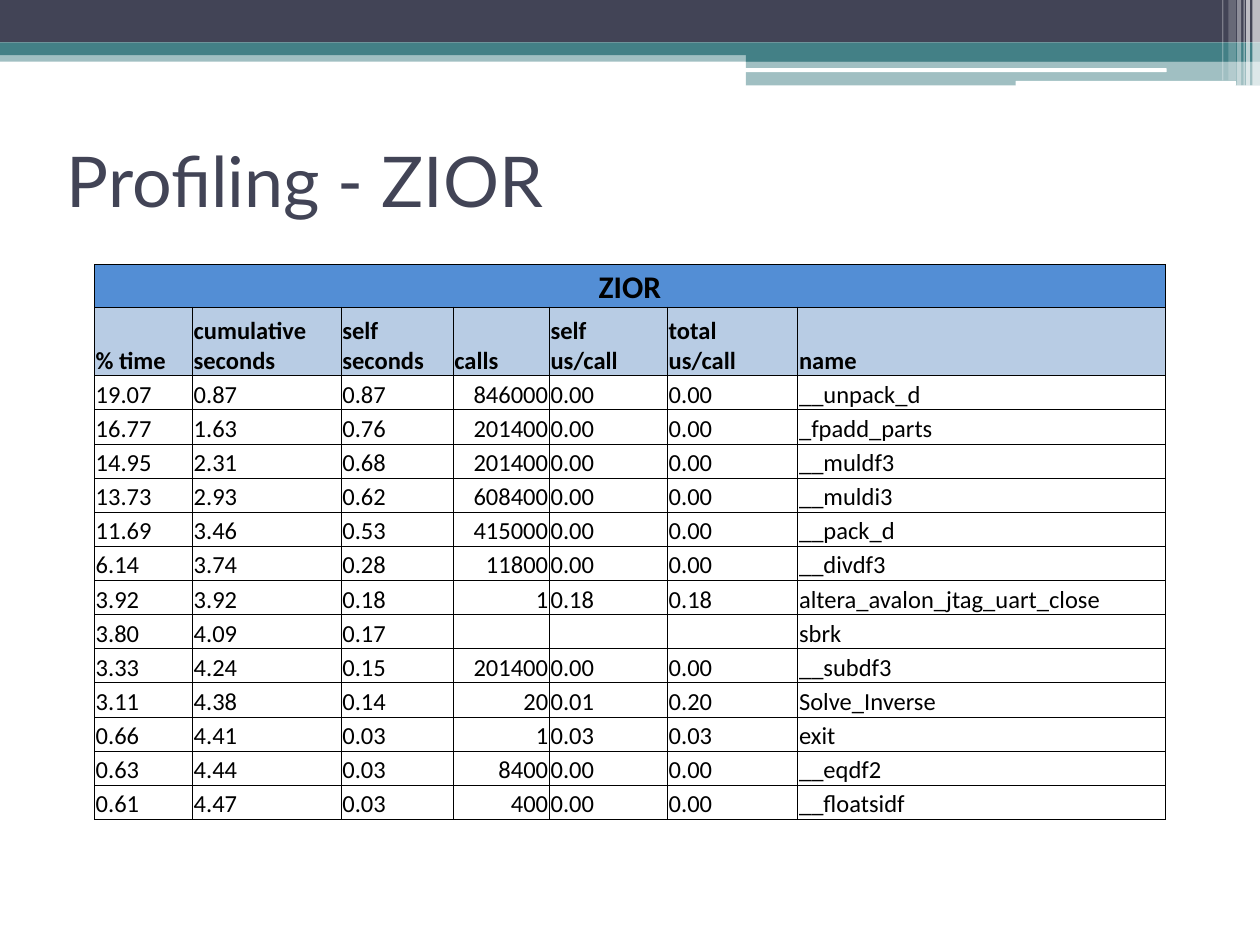
from lxml.etree import SubElement
from pptx import Presentation
from pptx.dml.color import RGBColor
from pptx.enum.shapes import MSO_SHAPE
from pptx.enum.text import MSO_ANCHOR, PP_ALIGN
from pptx.oxml import parse_xml
from pptx.oxml.ns import nsdecls, qn
from pptx.util import Pt

COLORS = {
    "navy": "424456",
    "teal": "438086",
    "white": "FFFFFF",
    "black": "000000",
    "caption": "538ED5",
    "header": "B8CCE4",
}
PROCESSOR = "ZIOR"
COLUMN_WIDTHS = [56, 85, 64, 55, 67.5, 74.5, 210]
ROW_HEIGHTS = [24.2, 39.3] + [19.53] * 13
CALLS_COLUMN = 3
HEADERS = ["% time", "cumulative\vseconds", "self\vseconds", "calls",
           "self\vus/call", "total\vus/call", "name"]
PROFILE = [
    ["19.07", "0.87", "0.87", "846000", "0.00", "0.00", "__unpack_d"],
    ["16.77", "1.63", "0.76", "201400", "0.00", "0.00", "_fpadd_parts"],
    ["14.95", "2.31", "0.68", "201400", "0.00", "0.00", "__muldf3"],
    ["13.73", "2.93", "0.62", "608400", "0.00", "0.00", "__muldi3"],
    ["11.69", "3.46", "0.53", "415000", "0.00", "0.00", "__pack_d"],
    ["6.14", "3.74", "0.28", "11800", "0.00", "0.00", "__divdf3"],
    ["3.92", "3.92", "0.18", "1", "0.18", "0.18", "altera_avalon_jtag_uart_close"],
    ["3.80", "4.09", "0.17", "", "", "", "sbrk"],
    ["3.33", "4.24", "0.15", "201400", "0.00", "0.00", "__subdf3"],
    ["3.11", "4.38", "0.14", "20", "0.01", "0.20", "Solve_Inverse"],
    ["0.66", "4.41", "0.03", "1", "0.03", "0.03", "exit"],
    ["0.63", "4.44", "0.03", "8400", "0.00", "0.00", "__eqdf2"],
    ["0.61", "4.47", "0.03", "400", "0.00", "0.00", "__floatsidf"],
]


def rgb(name):
    return RGBColor.from_string(COLORS[name])


def add_bar(page, box, color, opacity=100, kind=MSO_SHAPE.RECTANGLE):
    bar = page.shapes.add_shape(kind, *map(Pt, box))
    bar.shadow.inherit = False
    bar.line.fill.background()
    bar.fill.solid()
    bar.fill.fore_color.rgb = rgb(color)
    if opacity < 100:
        tint = bar.fill._xPr.find(".//" + qn("a:srgbClr"))
        SubElement(tint, qn("a:alpha"), val=str(opacity * 1000))


def add_banner(page, left, top, width):
    """Bands across the top, a stepped block on the right and thin stripes at the edge."""
    right = left + width
    block_width = 293.8
    block_left = right - block_width
    add_bar(page, (left, top + 28.8, width, 6.5), "teal", 50)
    add_bar(page, (left, top, width, 24.3), "navy")
    add_bar(page, (left, top + 24.3, width, 7.2), "teal")
    add_bar(page, (block_left, top + 28.1, block_width, 7.2), "teal")
    add_bar(page, (block_left, top + 34.6, block_width, 14.2), "teal", 50)
    for offset, drop, length, height in [(425.5, 39, 241.2, 2.2), (580.3, 46.2, 126, 2.9)]:
        add_bar(page, (left + offset, top + drop, length, height), "white",
                kind=MSO_SHAPE.ROUNDED_RECTANGLE)
    stripes = [(4.3, 4.3, 49, 65), (7.9, 2.2, 49, 65), (9.4, 0.7, 49, 60),
               (13, 2.2, 49, 40), (18, 4.3, 46, 20), (21.6, 0.7, 46, 30)]
    for inset, thickness, height, opacity in stripes:
        add_bar(page, (right - inset, top, thickness, height), "white", opacity)


def add_title(page, box, text):
    title = page.shapes.title
    title.left, title.top, title.width, title.height = map(Pt, box)
    frame = title.text_frame
    frame.text = text
    frame.vertical_anchor = MSO_ANCHOR.MIDDLE
    para = frame.paragraphs[0]
    para.alignment = PP_ALIGN.LEFT
    para.font.name = "Lato"
    para.font.size = Pt(40)
    para.font.color.rgb = rgb("navy")


def add_borders(cell):
    properties = cell._tc.get_or_add_tcPr()
    for position, side in enumerate(("lnL", "lnR", "lnT", "lnB")):
        properties.insert(position, parse_xml(
            f'<a:{side} {nsdecls("a")} w="{Pt(0.5)}"><a:solidFill>'
            f'<a:srgbClr val="{COLORS["black"]}"/></a:solidFill></a:{side}>'))


def fill_cell(cell, text, fill=None, size=14, bold=False, align=PP_ALIGN.LEFT):
    cell.text = text
    cell.vertical_anchor = MSO_ANCHOR.BOTTOM
    cell.margin_left = cell.margin_right = cell.margin_top = Pt(0.7)
    cell.margin_bottom = 0
    if fill:
        cell.fill.solid()
        cell.fill.fore_color.rgb = rgb(fill)
    else:
        cell.fill.background()
    para = cell.text_frame.paragraphs[0]
    para.alignment = align
    para.font.name = "Calibri"
    para.font.size = Pt(size)
    para.font.bold = bold
    para.font.color.rgb = rgb("black")
    if not text:
        para._p.get_or_add_endParaRPr().set("sz", str(size * 100))
    add_borders(cell)


def add_profile_table(page, left, top):
    rows = [[PROCESSOR] + [""] * (len(HEADERS) - 1), HEADERS] + PROFILE
    frame = page.shapes.add_table(len(rows), len(HEADERS), Pt(left), Pt(top),
                                  Pt(sum(COLUMN_WIDTHS)), Pt(sum(ROW_HEIGHTS)))
    table = frame.table
    table.horz_banding = False
    for column, width in zip(table.columns, COLUMN_WIDTHS):
        column.width = Pt(width)
    for row, height in zip(table.rows, ROW_HEIGHTS):
        row.height = Pt(height)
    table.cell(0, 0).merge(table.cell(0, len(HEADERS) - 1))
    for row_index, values in enumerate(rows):
        for column_index, text in enumerate(values):
            cell = table.cell(row_index, column_index)
            if row_index == 0:
                fill_cell(cell, text, "caption", 18, True, PP_ALIGN.CENTER)
            elif row_index == 1:
                fill_cell(cell, text, "header", bold=True)
            else:
                numeric = column_index == CALLS_COLUMN
                fill_cell(cell, text, align=PP_ALIGN.RIGHT if numeric else PP_ALIGN.LEFT)


def main():
    deck = Presentation()
    deck.slide_width, deck.slide_height = Pt(720), Pt(540)
    page = deck.slides.add_slide(deck.slide_layouts[5])
    add_banner(page, 0, 0, 720)
    add_title(page, (31, 60.5, 648, 84.2), f"Profiling - {PROCESSOR}")
    add_profile_table(page, 54, 151.2)
    deck.save("out.pptx")


if __name__ == "__main__":
    main()
